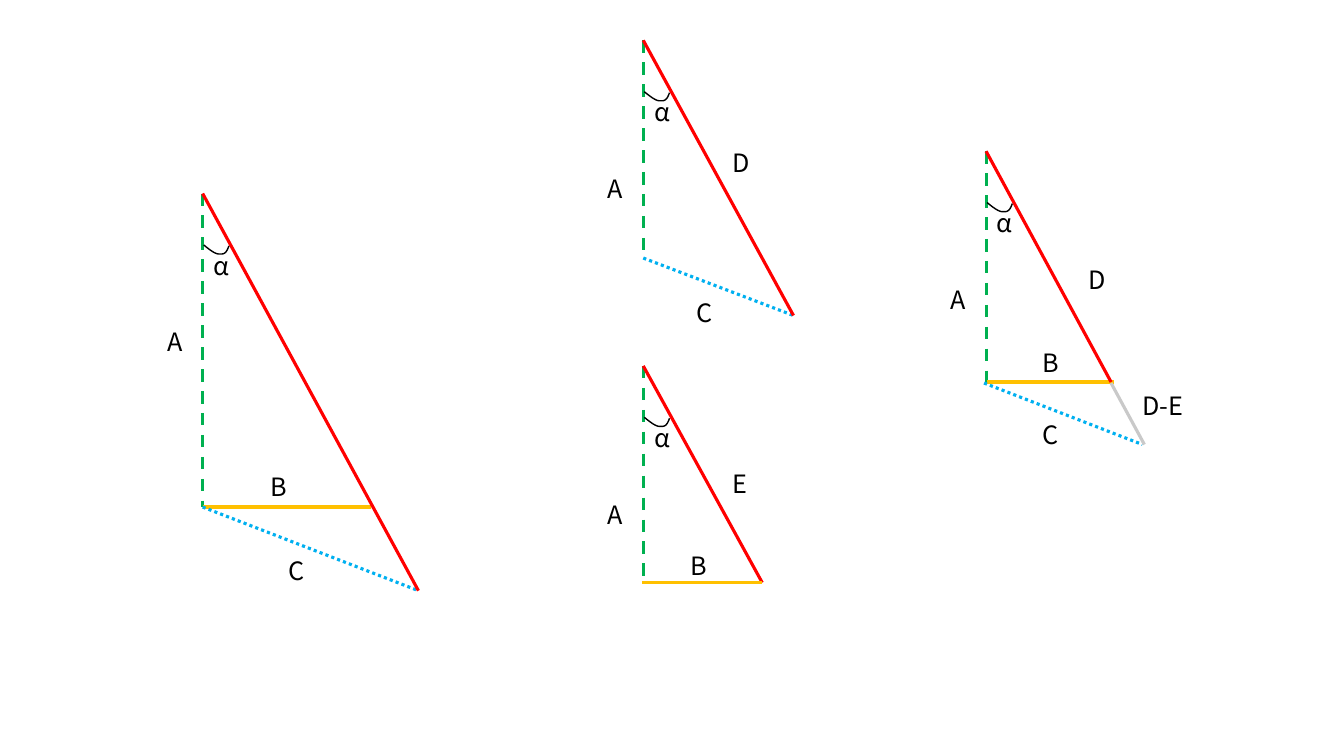
from lxml.etree import SubElement
from pptx import Presentation
from pptx.dml.color import RGBColor
from pptx.enum.dml import MSO_LINE_DASH_STYLE as Dash
from pptx.enum.shapes import MSO_CONNECTOR as Connector
from pptx.enum.text import MSO_AUTO_SIZE as AutoSize
from pptx.oxml.ns import qn
from pptx.util import Inches, Pt

COLORS = {"green": "00B050", "gold": "FFC000", "blue": "00B0F0",
          "red": "FF0000", "gray": "C9C9C9", "black": "000000"}
DASHES = {"green": Dash.DASH, "blue": Dash.ROUND_DOT}
FONT = "Noto Sans CJK KR"
LABEL_WIDTHS = {"A": 0.37, "B": 0.35, "C": 0.36, "D": 0.38, "E": 0.33,
                "D-E": 0.62, "α": 0.36}
LABEL_HEIGHT = 0.4
SHARED_LABELS = [("A", -0.45, 1.27), ("α", 0.01, 0.51)]
ARC_START = (0.01, 0.51)
ARC_CURVES = [
    [(0, 0), (0.05, 0.04), (0.11, 0.09), (0.15, 0.09)],
    [(0.15, 0.09), (0.19, 0.09), (0.22, 0.1), (0.25, 0.01)],
]
ARC_STEPS = 12

# Offsets are inches from each triangle's apex.
TRIANGLES = [
    {"apex": (2.01, 1.92),
     "sides": [("green", (0, 0), (0, 3.11)), ("gold", (0, 3.11), (1.67, 3.11)),
               ("blue", (0, 3.11), (2.14, 3.94)), ("red", (0, 0), (2.14, 3.94))],
     "labels": [("B", 0.57, 2.71), ("C", 0.75, 3.54)]},
    {"apex": (6.38, 0.4),
     "sides": [("green", (0, 0), (0, 2.16)), ("blue", (0, 2.16), (1.49, 2.73)),
               ("red", (0, 0), (1.49, 2.73))],
     "labels": [("C", 0.43, 2.5), ("D", 0.79, 1.01)]},
    {"apex": (6.38, 3.63),
     "sides": [("green", (0, 0), (0, 2.15)), ("red", (0, 0), (1.18, 2.15)),
               ("gold", (-0.01, 2.15), (1.18, 2.15))],
     "labels": [("B", 0.37, 1.78), ("E", 0.79, 0.97)]},
    {"apex": (9.78, 1.5),
     "sides": [("green", (0, 0), (0, 2.38)), ("gold", (0.01, 2.29), (1.27, 2.29)),
               ("blue", (-0.02, 2.3), (1.55, 2.91)), ("red", (0, 0), (1.24, 2.29)),
               ("gray", (1.24, 2.3), (1.57, 2.91))],
     "labels": [("B", 0.46, 1.9), ("C", 0.46, 2.61), ("D-E", 1.45, 2.32),
                ("D", 0.92, 1.07)]},
]


def shift(apex, offset):
    return tuple(Inches(a + b) for a, b in zip(apex, offset))


def color(name):
    return RGBColor.from_string(COLORS[name])


def curve_point(curve, t):
    weights = ((1 - t) ** 3, 3 * t * (1 - t) ** 2, 3 * t ** 2 * (1 - t), t ** 3)
    return tuple(sum(w * point[axis] for w, point in zip(weights, curve))
                 for axis in (0, 1))


def add_side(page, apex, name, start, end):
    side = page.shapes.add_connector(Connector.STRAIGHT, *shift(apex, start),
                                     *shift(apex, end))
    side.line.color.rgb = color(name)
    side.line.width = Pt(2.25)
    if name in DASHES:
        side.line.dash_style = DASHES[name]
    SubElement(side.element.spPr, qn("a:effectLst"))


def add_label(page, apex, text, x, y):
    box = page.shapes.add_textbox(*shift(apex, (x, y)), Inches(LABEL_WIDTHS[text]),
                                  Inches(LABEL_HEIGHT))
    frame = box.text_frame
    frame.word_wrap = False
    frame.auto_size = AutoSize.SHAPE_TO_FIT_TEXT
    frame.text = text
    font = frame.paragraphs[0].runs[0].font
    font.name = FONT
    font.size = Pt(18)
    font.color.rgb = color("black")
    properties = frame.paragraphs[0].runs[0].font._element
    for tag in ("a:ea", "a:cs"):
        SubElement(properties, qn(tag), typeface=FONT)


def add_arc(page, apex):
    origin = (apex[0] + ARC_START[0], apex[1] + ARC_START[1])
    points = [shift(origin, curve_point(curve, step / ARC_STEPS))
              for curve in ARC_CURVES for step in range(1, ARC_STEPS + 1)]
    builder = page.shapes.build_freeform(*shift(origin, (0, 0)))
    builder.add_line_segments(points, close=False)
    arc = builder.convert_to_shape()
    arc.shadow.inherit = False
    arc.fill.background()
    arc.line.color.rgb = color("black")
    arc.line.width = Pt(1)


def main():
    deck = Presentation()
    deck.slide_width, deck.slide_height = Inches(13.33), Inches(7.5)
    page = deck.slides.add_slide(deck.slide_layouts[6])
    for triangle in TRIANGLES:
        apex = triangle["apex"]
        for side in triangle["sides"]:
            add_side(page, apex, *side)
        for label in SHARED_LABELS + triangle["labels"]:
            add_label(page, apex, *label)
        add_arc(page, apex)
    deck.save("out.pptx")


if __name__ == "__main__":
    main()
